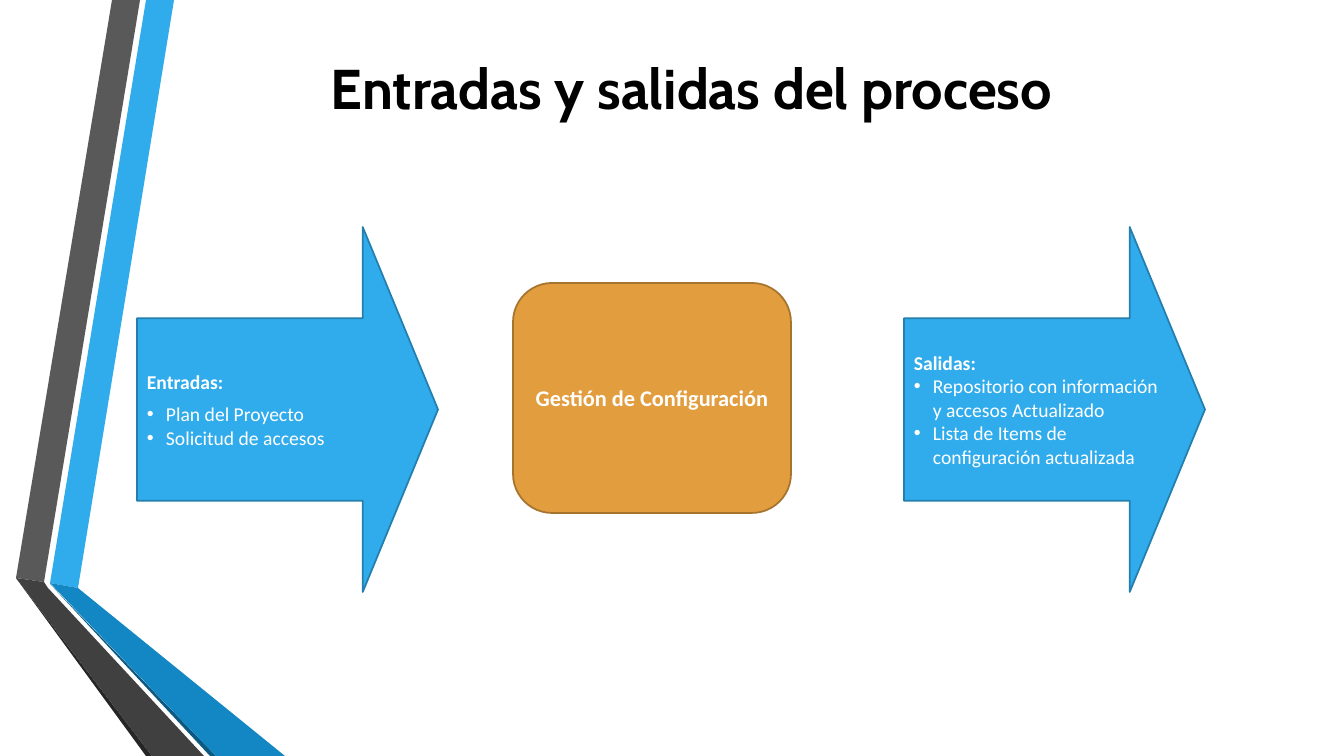
from pptx import Presentation
from pptx.dml.color import RGBColor as RGB
from pptx.enum.shapes import MSO_SHAPE as Kind
from pptx.enum.text import MSO_ANCHOR as Anchor, PP_ALIGN as Align
from pptx.oxml import parse_xml
from pptx.oxml.ns import nsdecls
from pptx.util import Pt

PX = 914400 / 100.8
BLACK = RGB(0, 0, 0)
WHITE = RGB(255, 255, 255)
BLUE = RGB(0x30, 0xAC, 0xEC)
BLUE_EDGE = RGB(0x24, 0x7F, 0xAF)
GOLD = RGB(0xE2, 0x9D, 0x3E)
GOLD_EDGE = RGB(0xA7, 0x74, 0x2E)
GRAY = RGB(0x59, 0x59, 0x59)
COAL = RGB(0x26, 0x26, 0x26)
NAVY = RGB(0x0C, 0x5A, 0x82)
DEEP = RGB(0x12, 0x87, 0xC3)
DARK = RGB(0x40, 0x40, 0x40)


def px(*nums):
    return [round(n * PX) for n in nums]


def add_box(kind, box, fill, edge, adj):
    shape = slide.shapes.add_shape(kind, *px(*box))
    shape.shadow.inherit = False
    shape.fill.solid()
    shape.fill.fore_color.rgb = fill
    shape.line.color.rgb = edge
    shape.line.width = Pt(1.25)
    for i, part in enumerate(adj):
        shape.adjustments[i] = part
    shape.text_frame.vertical_anchor = Anchor.MIDDLE
    return shape.text_frame


deck = Presentation()
deck.slide_width, deck.slide_height = px(1344, 756)
slide = deck.slides.add_slide(deck.slide_layouts[6])

bands = [
    (BLUE, [(50, 583), (78, 588), (174, 0), (146, 0)]),
    (GRAY, [(140, 0), (112, 0), (16, 578), (44, 582)]),
    (COAL, [(16, 578), (146, 756), (152, 756)]),
    (NAVY, [(50, 584), (210, 756), (216, 756)]),
    (DEEP, [(50, 583), (216, 756), (285, 756), (78, 588)]),
    (DARK, [(204, 756), (48, 588), (44, 582), (16, 578), (152, 756)]),
]
for tone, dots in bands:
    pen = slide.shapes.build_freeform(*dots[0], scale=PX)
    pen.add_line_segments(dots[1:], close=True)
    band = pen.convert_to_shape()
    band.shadow.inherit = False
    band.fill.solid()
    band.fill.fore_color.rgb = tone
    band.line.fill.background()

title = slide.shapes.add_textbox(*px(321, 49, 774, 78)).text_frame
title.word_wrap = True
line = title.paragraphs[0]
line.text = "Entradas y salidas del proceso"
line.font.name = "Cabin"
line.font.size = Pt(40)
line.font.bold = True
line.font.color.rgb = BLACK

core = add_box(Kind.ROUNDED_RECTANGLE, (513, 283, 278, 230), GOLD, GOLD_EDGE, [0.17])
core.word_wrap = True
line = core.paragraphs[0]
line.text = "Gestión de Configuración"
line.alignment = Align.CENTER
line.font.name = "Calibri"
line.font.size = Pt(16)
line.font.bold = True
line.font.color.rgb = WHITE

arrows = [
    (137, True, 6, ["Entradas:", "Plan del Proyecto", "Solicitud de accesos"]),
    (904, False, 0, ["Salidas:", "Repositorio con información\vy accesos Actualizado",
                     "Lista de Items de\vconfiguración actualizada"]),
]
for left, wrap, gap, rows in arrows:
    frame = add_box(Kind.RIGHT_ARROW, (left, 227, 301, 365), BLUE, BLUE_EDGE, [0.5, 0.25])
    frame.word_wrap = wrap
    for i, text in enumerate(rows):
        line = frame.add_paragraph() if i else frame.paragraphs[0]
        line.text = text
        line.alignment = Align.LEFT
        line.font.name = "Calibri"
        line.font.size = Pt(14)
        line.font.bold = i == 0
        line.font.color.rgb = WHITE
        line.space_after = Pt(0 if i else gap)
        if i:
            props = line._p.get_or_add_pPr()
            props.set("marL", str(px(19)[0]))
            props.set("indent", str(px(-19)[0]))
            for mark in ('buFont %s typeface="Arial"', 'buChar %s char="•"'):
                props.append(parse_xml("<a:" + mark % nsdecls("a") + "/>"))
            for old in props.findall("{*}defRPr"):
                props.append(old)

deck.save("out.pptx")
